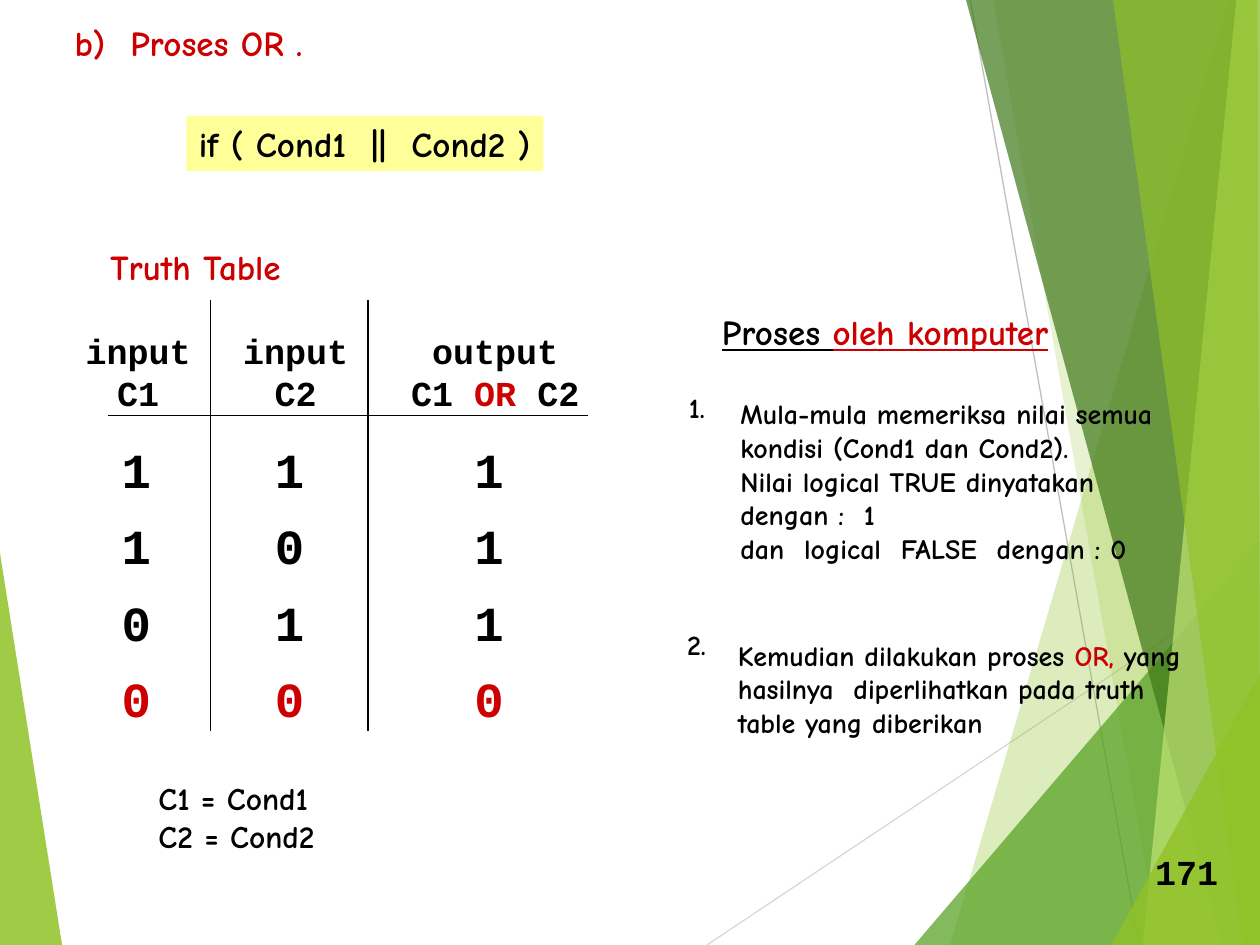
from lxml.etree import SubElement
from pptx import Presentation
from pptx.dml.color import RGBColor
from pptx.enum.shapes import MSO_CONNECTOR
from pptx.enum.text import MSO_AUTO_SIZE, PP_ALIGN
from pptx.oxml.ns import qn
from pptx.util import Pt

WIDTH, HEIGHT = 720, 540
BLACK, RED, YELLOW = "000000", "CC0000", "FFFF99"
LIME, GREEN, DARK_GREEN, PALE_GREEN = "90C226", "54A021", "3F7819", "C0E474"
COMIC, COURIER = "Comic Neue", "Courier New"


def colour(value):
    return RGBColor.from_string(value)


def write_text(frame, text, size=20, font=COMIC, align=PP_ALIGN.LEFT,
               spacing=None, underline=None, wrap=False):
    """Write one paragraph per line; parts between asterisks are red."""
    frame.word_wrap = wrap
    frame.auto_size = MSO_AUTO_SIZE.SHAPE_TO_FIT_TEXT
    for index, line in enumerate(text.split("\n")):
        paragraph = frame.paragraphs[0] if index == 0 else frame.add_paragraph()
        paragraph.alignment = align
        paragraph.line_spacing = spacing
        for part_index, part in enumerate(line.split("*")):
            if not part:
                continue
            run = paragraph.add_run()
            run.text = part
            run.font.size = Pt(size)
            run.font.name = font
            run.font.bold = True
            run.font.underline = underline
            run.font.color.rgb = colour(RED if part_index % 2 else BLACK)


class SlideBuilder:
    def __init__(self, slide):
        self.shapes = slide.shapes

    def polygon(self, points, fill, opacity):
        corners = [(Pt(x), Pt(y)) for x, y in points]
        builder = self.shapes.build_freeform(*corners[0], scale=1.0)
        builder.add_line_segments(corners[1:], close=True)
        shape = builder.convert_to_shape()
        shape.shadow.inherit = False
        shape.fill.solid()
        shape.fill.fore_color.rgb = colour(fill)
        shape.line.fill.background()
        colour_element = shape.fill._xPr.find(qn("a:solidFill"))[0]
        SubElement(colour_element, qn("a:alpha"), val=str(opacity * 1000))

    def line(self, start, end, line_colour=BLACK):
        connector = self.shapes.add_connector(
            MSO_CONNECTOR.STRAIGHT, *(Pt(value) for value in start + end))
        connector.line.color.rgb = colour(line_colour)
        connector.line.width = Pt(0.75)
        SubElement(connector._element.spPr, qn("a:effectLst"))

    def text(self, left, top, width, height, text, fill=None, **text_format):
        box = self.shapes.add_textbox(Pt(left), Pt(top), Pt(width), Pt(height))
        if fill:
            box.fill.solid()
            box.fill.fore_color.rgb = colour(fill)
        write_text(box.text_frame, text, **text_format)


def draw_background(builder):
    builder.polygon([(0, 316), (35.5, 540), (0, 540)], LIME, 85)
    builder.line((404, 540), (720, 329), "D9D9D9")
    builder.line((554.5, 0), (651, 540), "BFBFBF")
    bottom_right, top_right = (WIDTH, HEIGHT), (WIDTH, 0)
    facets = [
        ([(702, 0), (543, 540), bottom_right, top_right], LIME, 30),
        ([(567.5, 0), (662.5, 540), bottom_right, top_right], LIME, 20),
        ([(522.5, 540), (720, 309), bottom_right], GREEN, 72),
        ([(552, 0), (698.5, 540), bottom_right, top_right], DARK_GREEN, 70),
        ([(706.5, 0), (653, 540), bottom_right, top_right], PALE_GREEN, 70),
        ([(636, 0), (710, 540), bottom_right, (718.5, 0)], LIME, 65),
        ([(635, 540), (720, 385), bottom_right], LIME, 80),
    ]
    for points, fill, opacity in facets:
        builder.polygon(points, fill, opacity)


def draw_truth_table(builder):
    builder.text(56, 137, 114, 31.5, "*Truth Table*")
    for left, values in ((62.5, "110"), (150, "101"), (264, "111")):
        builder.text(left, 237.5, 31, 182, "\n".join([*values, "*0*"]),
                     size=28, font=COURIER, spacing=1.3)
    builder.line((62, 237.5), (336, 237.5))
    for x in (120.25, 210.25):
        builder.line((x, 171.5), (x, 417.5))
    headings = [(40, 78, "input\nC1"), (130, 78, "input\nC2"),
                (226, 114, "output\nC1 *OR* C2")]
    for left, width, heading in headings:
        builder.text(left, 184.5, width, 55.5, heading,
                     font=COURIER, align=PP_ALIGN.CENTER)
    builder.text(83.5, 441.5, 105, 50.5, "C1 = Cond1\nC2 = Cond2", size=18)


def draw_process(builder):
    builder.text(405.5, 174, 202.5, 31.5, "Proses *oleh komputer*", underline=True)
    for left, top, number in ((386.5, 219.5, "1."), (385.5, 355, "2.")):
        builder.text(left, top, 26, 26.5, number, size=16)
    builder.text(416, 223.25, 280, 104,
                 "Mula-mula memeriksa nilai semua kondisi (Cond1 dan Cond2).\n"
                 "Nilai logical TRUE dinyatakan dengan :  1\n"
                 "dan  logical  FALSE  dengan : 0", size=16, wrap=True)
    builder.text(414.5, 361.25, 281.5, 65,
                 "Kemudian dilakukan proses *OR,* yang hasilnya  diperlihatkan "
                 "pada truth table yang diberikan", size=16, wrap=True)


def main():
    presentation = Presentation()
    presentation.slide_width, presentation.slide_height = Pt(WIDTH), Pt(HEIGHT)
    builder = SlideBuilder(presentation.slides.add_slide(presentation.slide_layouts[6]))
    draw_background(builder)
    builder.text(35.5, 9, 148, 31.5, "*b)  Proses OR .*")
    builder.text(106.5, 66.25, 204, 31.5, "if ( Cond1  ||  Cond2 )", fill=YELLOW)
    draw_truth_table(builder)
    draw_process(builder)
    builder.text(653, 482.5, 51, 31.5, "171", font=COURIER)
    presentation.save("out.pptx")


if __name__ == "__main__":
    main()
